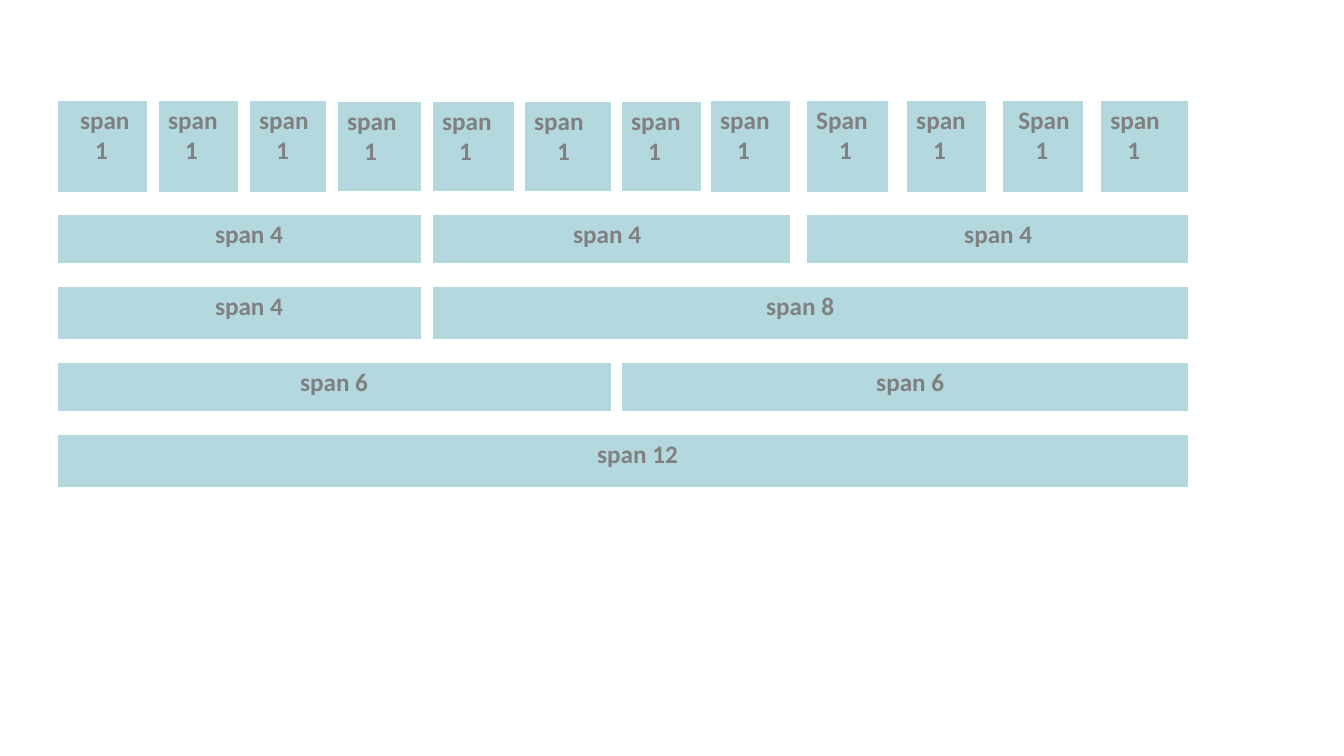
import pptx
import pptx.util
import pptx.oxml
import pptx.oxml.ns
import pptx.dml.color

PX = 914400 / 100.8  # EMU per pixel

THEME = {
    "fill": "B3D8DE", "text": "808080", "edge": "FFFFFF",
    "font": "Calibri", "size": 18,
    "edges": {"lnL": 1, "lnR": 1, "lnT": 1, "lnB": 3},
}

# Grid columns: left, width, then word, word inset, digit inset
COLS = [
    (57, 91, "span", 23, 38), (158, 81, "span", 10, 27),
    (249, 78, "span", 10, 27), (337, 85, "span", 10, 27),
    (432, 82, "span", 10, 27), (524, 87, "span", 10, 33),
    (621, 80, "span", 10, 27), (710, 80, "span", 10, 27),
    (806, 82, "Span", 10, 33), (906, 80, "span", 10, 27),
    (1002, 81, "Span", 16, 33), (1100, 88, "span", 10, 27),
]
TOP, TALL = 100, 94
LOW = range(3, 7)  # columns that sit one pixel lower

# Wide rows: top, height, then (columns spanned, text inset)
ROWS = [
    (214, 51, [(4, 158), (4, 141), (4, 158)]),
    (286, 55, [(4, 158), (8, 334)]),
    (362, 51, [(6, 243), (6, 255)]),
    (434, 55, [(12, 540)]),
]


def emu(px):
    return pptx.util.Emu(round(px * PX))


def color(name):
    return pptx.dml.color.RGBColor.from_string(THEME[name])


def set_all(item, values):
    for name, value in values.items():
        setattr(item, name, value)


def add_edges(cell):
    props = cell._tc.get_or_add_tcPr()
    for tag, width in THEME["edges"].items():
        props.append(pptx.oxml.parse_xml(
            f'<a:{tag} {pptx.oxml.ns.nsdecls("a")} w="{pptx.util.Pt(width)}">'
            f'<a:solidFill><a:srgbClr val="{THEME["edge"]}"/></a:solidFill>'
            f'</a:{tag}>'))


def add_block(left, top, width, height, lines):
    """Add a one-cell table; lines holds (text, inset) pairs."""
    box = slide.shapes.add_table(1, 1, *map(emu, (left, top, width, height)))
    set_all(box.table, {"first_row": False, "horz_banding": False})
    cell = box.table.cell(0, 0)
    add_edges(cell)
    cell.fill.solid()
    cell.fill.fore_color.rgb = color("fill")
    cell.margin_left = 0
    frame = cell.text_frame
    frame.text = "\n".join(text for text, inset in lines)
    for para, (text, inset) in zip(frame.paragraphs, lines):
        para._p.get_or_add_pPr().set("marL", str(emu(inset)))
        font = para.runs[0].font
        set_all(font, {"name": THEME["font"], "bold": True,
                       "size": pptx.util.Pt(THEME["size"])})
        font.color.rgb = color("text")


deck = pptx.Presentation()
set_all(deck, {"slide_width": pptx.util.Inches(13.33),
               "slide_height": pptx.util.Inches(7.5)})
slide = deck.slides.add_slide(deck.slide_layouts[6])

# Single columns
for index, (left, width, word, inset, digit) in enumerate(COLS):
    drop = int(index in LOW)
    add_block(left, TOP + drop, width, TALL - 2 * drop,
              [(word, inset), ("1", digit)])

# Wide rows, aligned to the columns they span
for top, height, spans in ROWS:
    start = 0
    for count, inset in spans:
        left = COLS[start][0]
        last = COLS[start + count - 1]
        add_block(left, top, last[0] + last[1] - left, height,
                  [(f"span {count}", inset)])
        start += count

deck.save("out.pptx")
